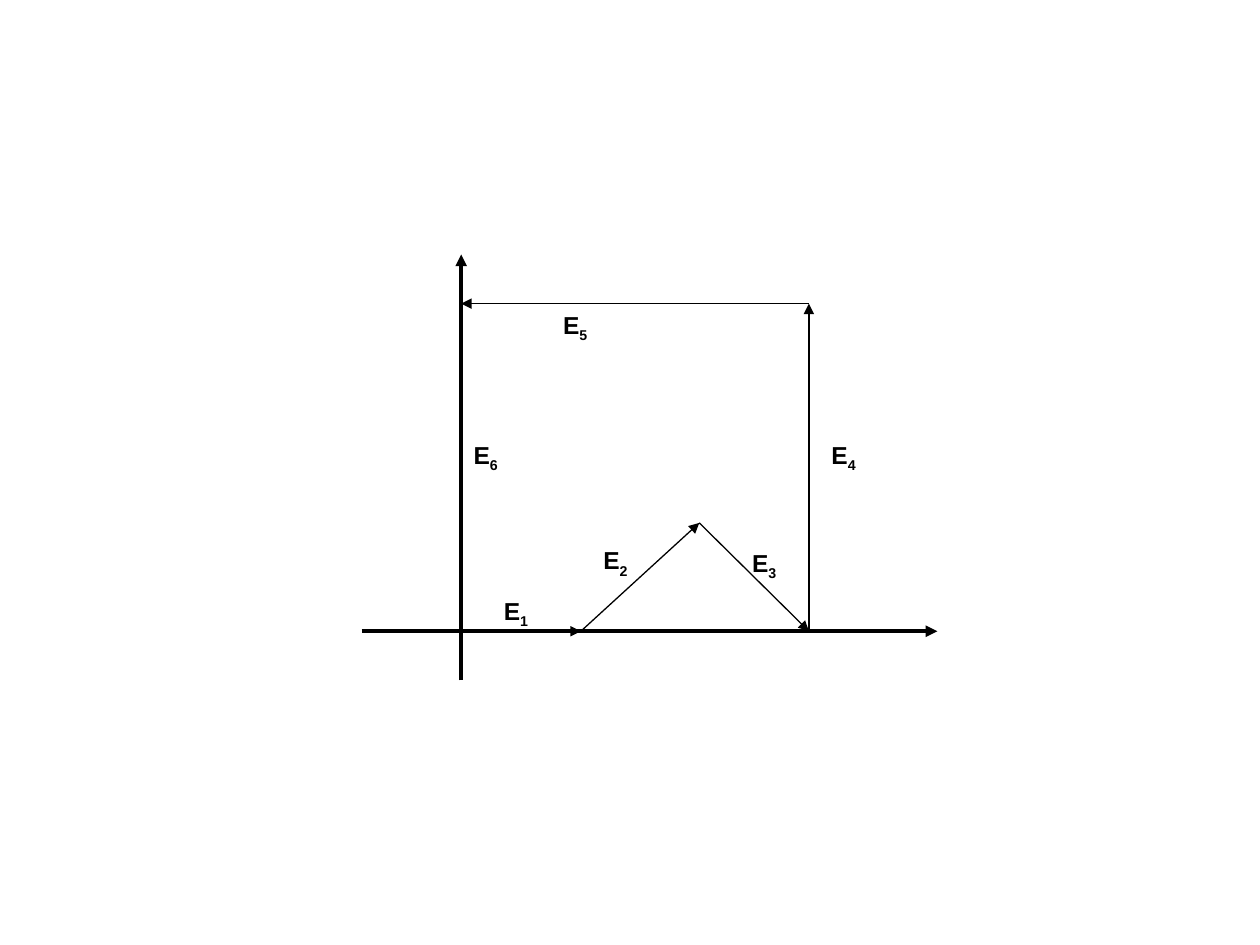
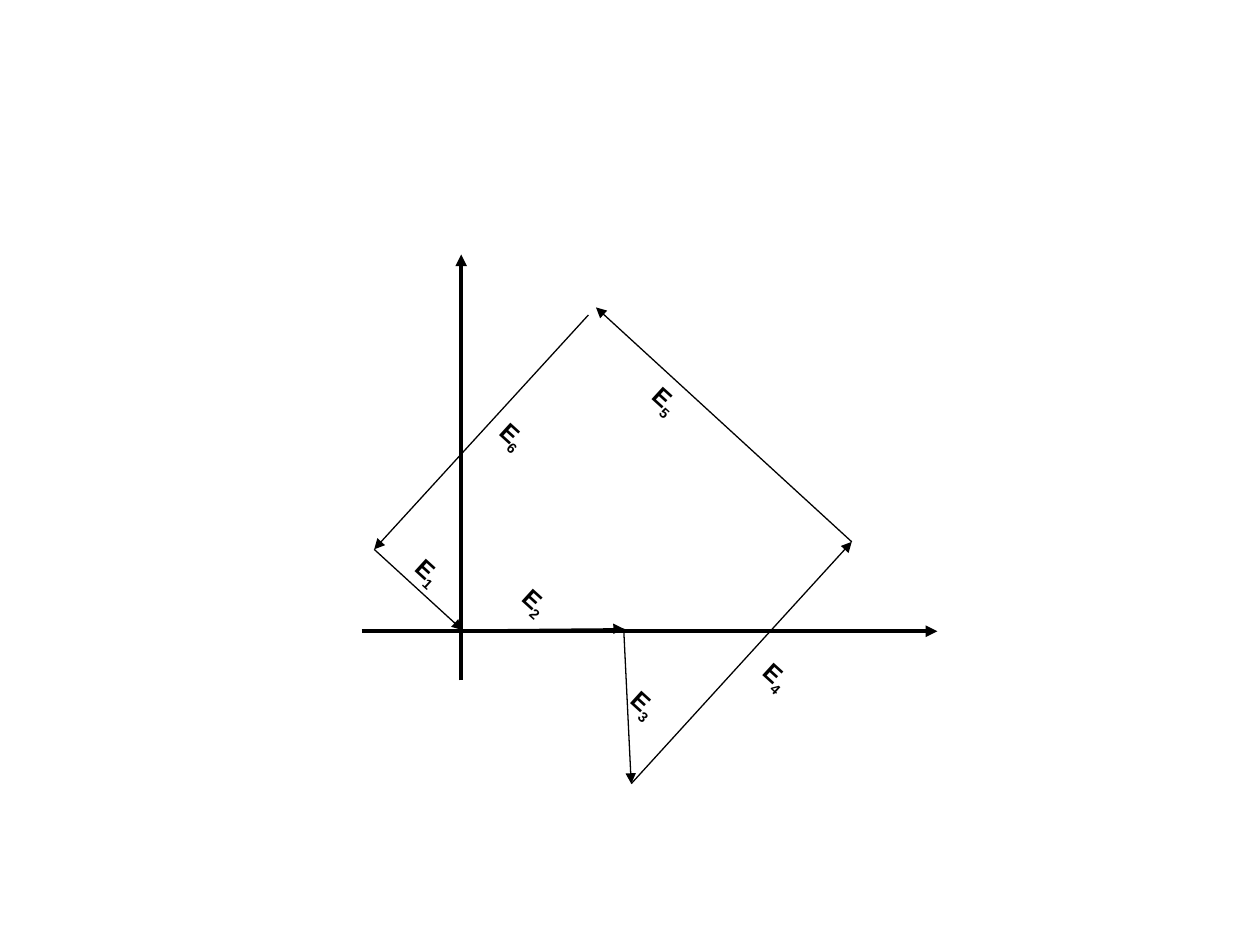
from pptx import Presentation
from pptx.dml.color import RGBColor
from pptx.enum.shapes import MSO_CONNECTOR
from pptx.enum.text import MSO_AUTO_SIZE, PP_ALIGN
from pptx.oxml.ns import qn
from pptx.util import Inches, Pt
from lxml import etree

STRAIGHT = MSO_CONNECTOR.STRAIGHT
GROW = MSO_AUTO_SIZE.SHAPE_TO_FIT_TEXT
RIGHT = PP_ALIGN.RIGHT
BLACK = RGBColor(0, 0, 0)

# Each path is a chain of points; label n (left, top) belongs to edge n.
VIEWS = [
    {
        "path": [(3.66, 5.01), (4.61, 5.01), (5.55, 4.15),
                 (6.42, 5.01), (6.42, 2.41), (3.66, 2.41)],
        "labels": [(3.82, 4.68), (4.61, 4.28), (5.79, 4.3),
                   (6.42, 3.44), (4.29, 2.41), (3.58, 3.44)],
        "turn": 0,
    },
    {
        "path": [(4.67, 2.5), (2.97, 4.36), (3.67, 5), (4.95, 4.99),
                 (5.01, 6.22), (6.76, 4.3), (4.73, 2.44)],
        "labels": [(3.14, 4.34), (3.99, 4.58), (4.85, 5.39),
                   (5.9, 5.17), (5.02, 2.98), (3.81, 3.26)],
        "turn": 42.4,
    },
]
AXES = [((3.66, 5.4), (3.66, 2.02)), ((2.87, 5.01), (7.44, 5.01))]
EDGE_WIDTH, AXIS_WIDTH = 0.75, 2.25
LABEL_SIZE = (0.47, 0.33)
FONT = {"name": "Arial", "size": Pt(14), "bold": True}
SUBSCRIPT = "-25000"


def add_arrow(slide, start, end, width):
    ends = [Inches(v) for v in (*start, *end)]
    arrow = slide.shapes.add_connector(STRAIGHT, *ends)
    arrow.line.color.rgb = BLACK
    arrow.line.width = Pt(width)
    props = arrow._element.spPr
    etree.SubElement(props.find(qn("a:ln")), qn("a:tailEnd"), type="triangle")
    etree.SubElement(props, qn("a:effectLst"))


def add_label(slide, spot, number, turn):
    box = slide.shapes.add_textbox(*[Inches(v) for v in (*spot, *LABEL_SIZE)])
    box.rotation = turn
    frame = box.text_frame
    frame.word_wrap = True
    frame.auto_size = GROW
    para = frame.paragraphs[0]
    para.alignment = RIGHT
    for text in ("E", str(number)):
        run = para.add_run()
        run.text = text
        for key, value in FONT.items():
            setattr(run.font, key, value)
        run.font.color.rgb = BLACK
    run._r.get_or_add_rPr().set("baseline", SUBSCRIPT)


def main():
    deck = Presentation()
    deck.slide_width, deck.slide_height = Inches(10), Inches(7.5)
    for view in VIEWS:
        slide = deck.slides.add_slide(deck.slide_layouts[6])
        for start, end in zip(view["path"], view["path"][1:]):
            add_arrow(slide, start, end, EDGE_WIDTH)
        for number, spot in enumerate(view["labels"], 1):
            add_label(slide, spot, number, view["turn"])
        for start, end in AXES:
            add_arrow(slide, start, end, AXIS_WIDTH)
    deck.save("out.pptx")


if __name__ == "__main__":
    main()
